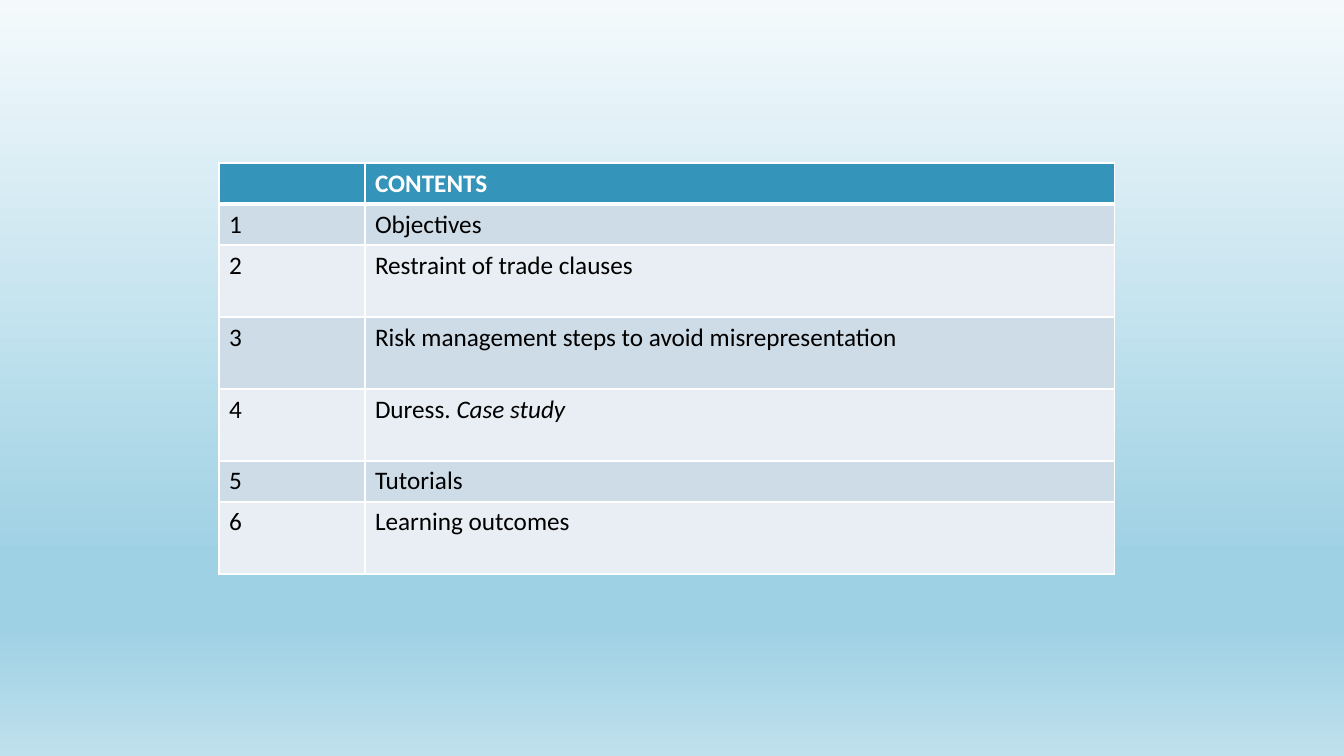
"""Build a contents slide: a numbered agenda table on a blue gradient."""
from copy import deepcopy
from dataclasses import dataclass

from lxml import etree
from pptx import Presentation
from pptx.dml.color import RGBColor
from pptx.oxml.ns import qn
from pptx.slide import Slide
from pptx.table import _Cell
from pptx.util import Emu, Pt

EMU_PER_PX = 914400 / 100.8
SLIDE_SIZE = (1344, 756)
TABLE_LEFT, TABLE_TOP = 219, 163
COLUMN_WIDTHS = (146, 750)
SHORT_ROW, TALL_ROW = 41, 72


@dataclass(frozen=True)
class Theme:
    font: str = "Calibri"
    text_size: int = 18
    text: str = "000000"
    header_text: str = "FFFFFF"
    header_fill: str = "3494BA"
    bands: tuple[str, ...] = ("CEDCE7", "E8EEF3")
    border: str = "FFFFFF"
    border_width: int = 1
    header_rule_width: int = 3
    backdrop: tuple[tuple[float, str], ...] = (
        (0, "F4FAFC"), (0.74, "9FD1E4"), (0.83, "9FD1E4"), (1, "BFE0ED"))


@dataclass(frozen=True)
class Topic:
    title: str
    height: int = SHORT_ROW
    detail: str = ""


THEME = Theme()
TOPICS = (
    Topic("Objectives"),
    Topic("Restraint of trade clauses", TALL_ROW),
    Topic("Risk management steps to avoid misrepresentation", TALL_ROW),
    Topic("Duress. ", TALL_ROW, "Case study"),
    Topic("Tutorials"),
    Topic("Learning outcomes", TALL_ROW),
)


def px(length: int) -> Emu:
    """Turn whole pixels into EMU."""
    return Emu(round(length * EMU_PER_PX))


def write(cell: _Cell, text: str, *, color: str = THEME.text,
          bold: bool = False, italic: bool = False) -> None:
    """Append a formatted run to the cell."""
    run = cell.text_frame.paragraphs[0].add_run()
    run.text = text
    run.font.name = THEME.font
    run.font.size = Pt(THEME.text_size)
    run.font.bold = bold
    run.font.italic = italic
    run.font.color.rgb = RGBColor.from_string(color)


def style_cell(cell: _Cell, fill: str, top: int, bottom: int) -> None:
    """Give the cell its borders and solid fill."""
    properties = cell._tc.get_or_add_tcPr()
    side = THEME.border_width
    for tag, width in (("lnL", side), ("lnR", side), ("lnT", top), ("lnB", bottom)):
        line = etree.SubElement(properties, qn(f"a:{tag}"), w=str(Pt(width)))
        solid = etree.SubElement(line, qn("a:solidFill"))
        etree.SubElement(solid, qn("a:srgbClr"), val=THEME.border)
    cell.fill.solid()
    cell.fill.fore_color.rgb = RGBColor.from_string(fill)


def paint_backdrop(slide: Slide) -> None:
    """Fill the slide background with the vertical gradient."""
    fill = slide.background.fill
    fill.gradient()
    fill.gradient_angle = 270
    stop_list = slide.element.find(f".//{qn('a:gsLst')}")
    while len(stop_list) < len(THEME.backdrop):
        stop_list.append(deepcopy(stop_list[0]))
    for stop, (position, color) in zip(fill.gradient_stops, THEME.backdrop):
        stop.position = position
        stop.color.rgb = RGBColor.from_string(color)


def add_contents(slide: Slide) -> None:
    """Draw the contents table with one row per topic."""
    heights = [SHORT_ROW] + [topic.height for topic in TOPICS]
    table = slide.shapes.add_table(
        len(heights), len(COLUMN_WIDTHS), px(TABLE_LEFT), px(TABLE_TOP),
        px(sum(COLUMN_WIDTHS)), px(sum(heights))).table
    table.horz_banding = False
    for column, width in zip(table.columns, COLUMN_WIDTHS):
        column.width = px(width)
    for index, (row, height) in enumerate(zip(table.rows, heights)):
        row.height = px(height)
        fill = THEME.bands[(index - 1) % 2] if index else THEME.header_fill
        top = THEME.header_rule_width if index == 1 else THEME.border_width
        bottom = THEME.border_width if index else THEME.header_rule_width
        for cell in row.cells:
            style_cell(cell, fill, top, bottom)

    write(table.cell(0, 1), "CONTENTS", color=THEME.header_text, bold=True)
    for number, topic in enumerate(TOPICS, start=1):
        write(table.cell(number, 0), str(number))
        write(table.cell(number, 1), topic.title)
        if topic.detail:
            write(table.cell(number, 1), topic.detail, italic=True)


def main() -> None:
    """Build and save the slide."""
    deck = Presentation()
    deck.slide_width, deck.slide_height = map(px, SLIDE_SIZE)
    slide = deck.slides.add_slide(deck.slide_layouts[6])
    paint_backdrop(slide)
    add_contents(slide)
    deck.save("out.pptx")


if __name__ == "__main__":
    main()
